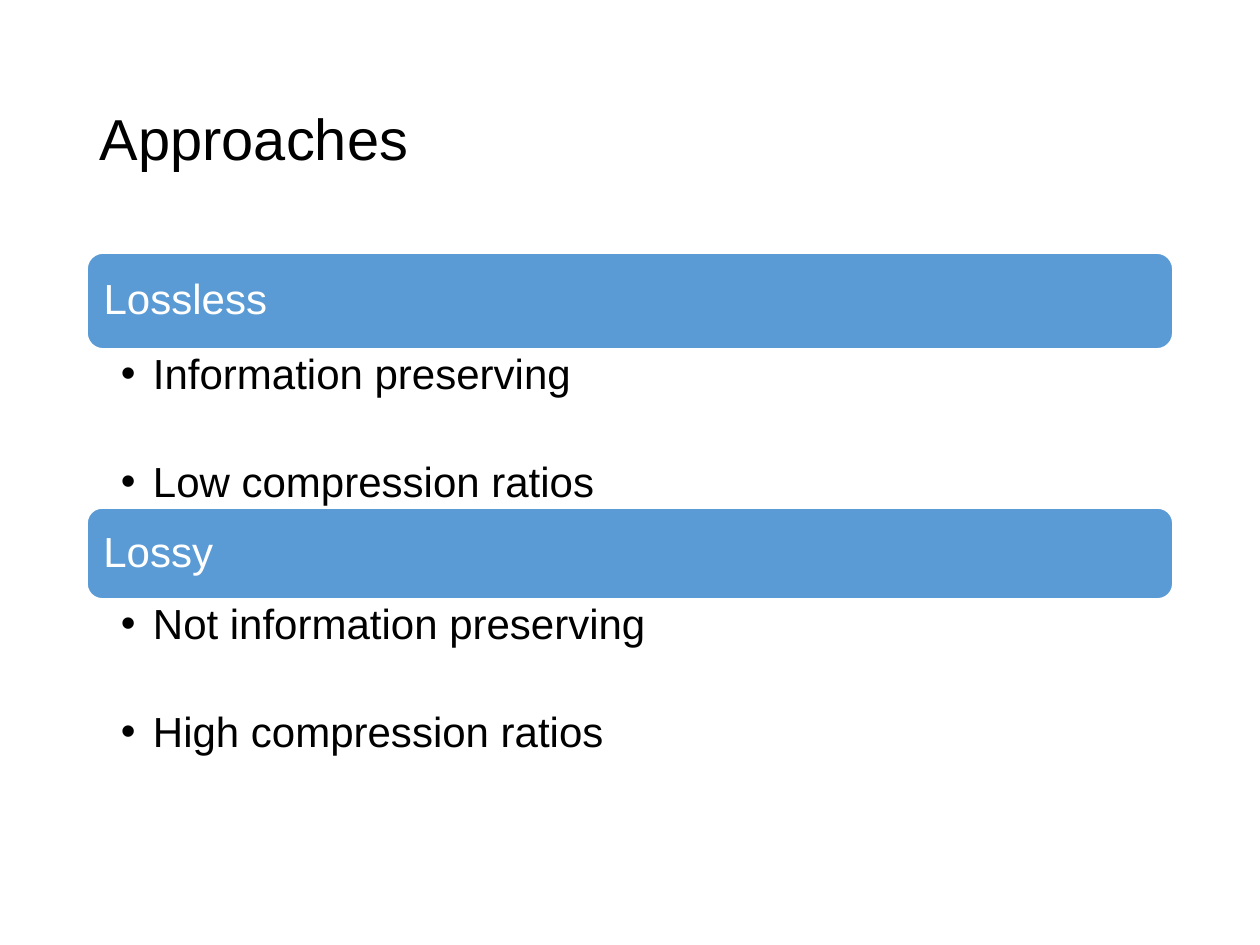
"""Build the Approaches slide, which contrasts lossless and lossy compression."""
from pptx import Presentation
from pptx.dml.color import RGBColor
from pptx.enum.shapes import MSO_SHAPE as Shape
from pptx.enum.text import MSO_ANCHOR as Anchor, PP_ALIGN as Align
from pptx.oxml.ns import qn
from pptx.util import Emu, Pt
from lxml.etree import SubElement

BLACK = RGBColor(0x00, 0x00, 0x00)
WHITE = RGBColor(0xFF, 0xFF, 0xFF)
BLUE = RGBColor(0x5B, 0x9B, 0xD5)

LEFT, WIDTH = 87, 1086
APPROACHES = [
    ("Lossless", 253, 96, 160, ["Information preserving", "Low compression ratios"]),
    ("Lossy", 508, 91, 251, ["Not information preserving", "High compression ratios"]),
]


def px(count):
    return Emu(round(count * 914400 / 126))


def write(shape, *lines, size=24, color=BLACK, anchor=Anchor.MIDDLE,
          insets=(13, 6, 13, 6), bullet_indent=0, space_after=0):
    frame = shape.text_frame
    frame.word_wrap = True
    frame.vertical_anchor = anchor
    frame.margin_left, frame.margin_top, frame.margin_right, frame.margin_bottom = map(px, insets)
    for index, line in enumerate(lines):
        paragraph = frame.paragraphs[0] if index == 0 else frame.add_paragraph()
        paragraph.alignment = Align.LEFT
        paragraph.line_spacing = 0.9
        paragraph.space_after = Pt(space_after)
        run = paragraph.add_run()
        run.text = line
        run.font.name = "Arial"
        run.font.size = Pt(size)
        run.font.color.rgb = color
        if bullet_indent:
            properties = paragraph._p.get_or_add_pPr()
            properties.set("marL", str(px(bullet_indent)))
            properties.set("indent", str(-px(bullet_indent)))
            SubElement(properties, qn("a:buFont"), typeface="Arial")
            SubElement(properties, qn("a:buChar"), char="•")


deck = Presentation()
deck.slide_width, deck.slide_height = px(1260), px(945)
slide = deck.slides.add_slide(deck.slide_layouts[6])

title = slide.shapes.add_textbox(px(LEFT), px(50), px(WIDTH), px(183))
write(title, "Approaches", size=33)

for name, top, bar_height, list_height, traits in APPROACHES:
    bar = slide.shapes.add_shape(Shape.ROUNDED_RECTANGLE, px(LEFT), px(top), px(WIDTH), px(bar_height))
    bar.shadow.inherit = False
    bar.fill.solid()
    bar.fill.fore_color.rgb = BLUE
    bar.line.color.rgb = WHITE
    bar.line.width = Pt(1)
    write(bar, name, color=WHITE, insets=(12, 13, 12, 13))

    trait_list = slide.shapes.add_textbox(px(LEFT), px(top + bar_height), px(WIDTH), px(list_height))
    write(trait_list, *traits, anchor=Anchor.TOP, insets=(34, 4, 24, 4),
          bullet_indent=32, space_after=36)

deck.save("out.pptx")
